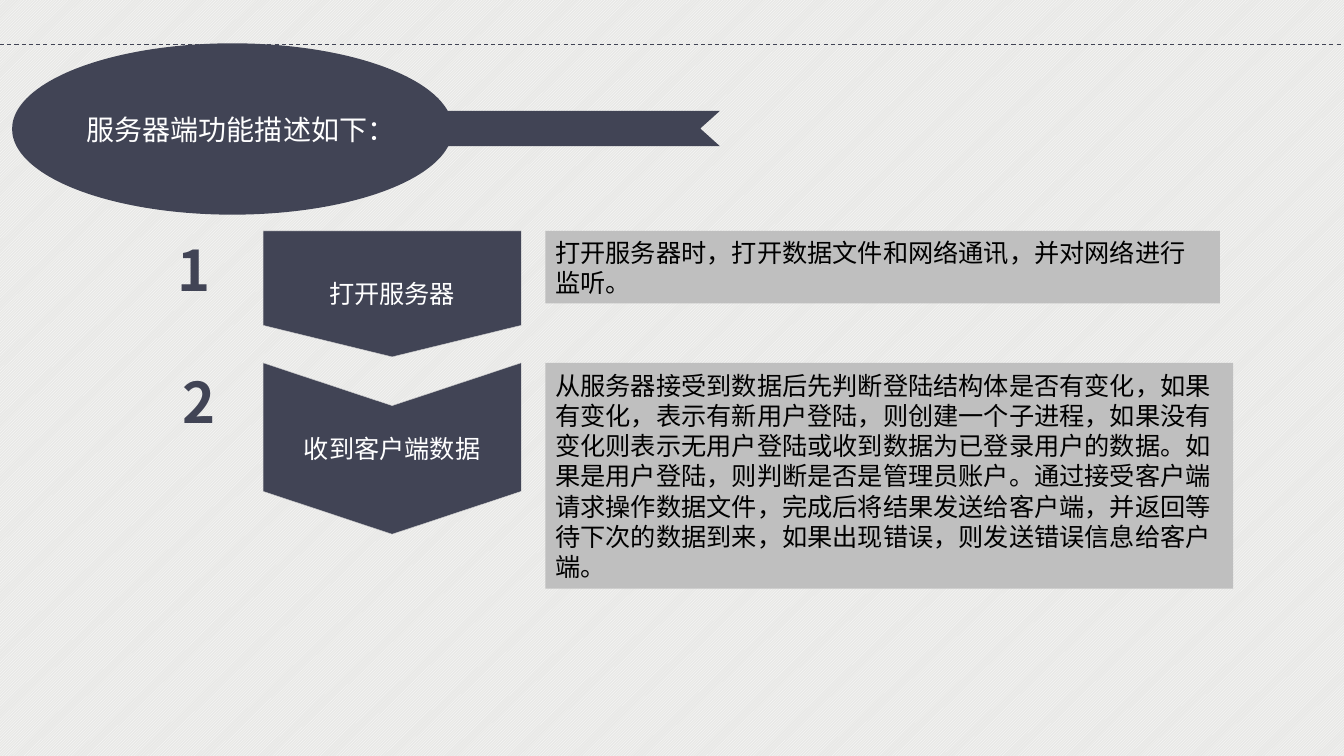
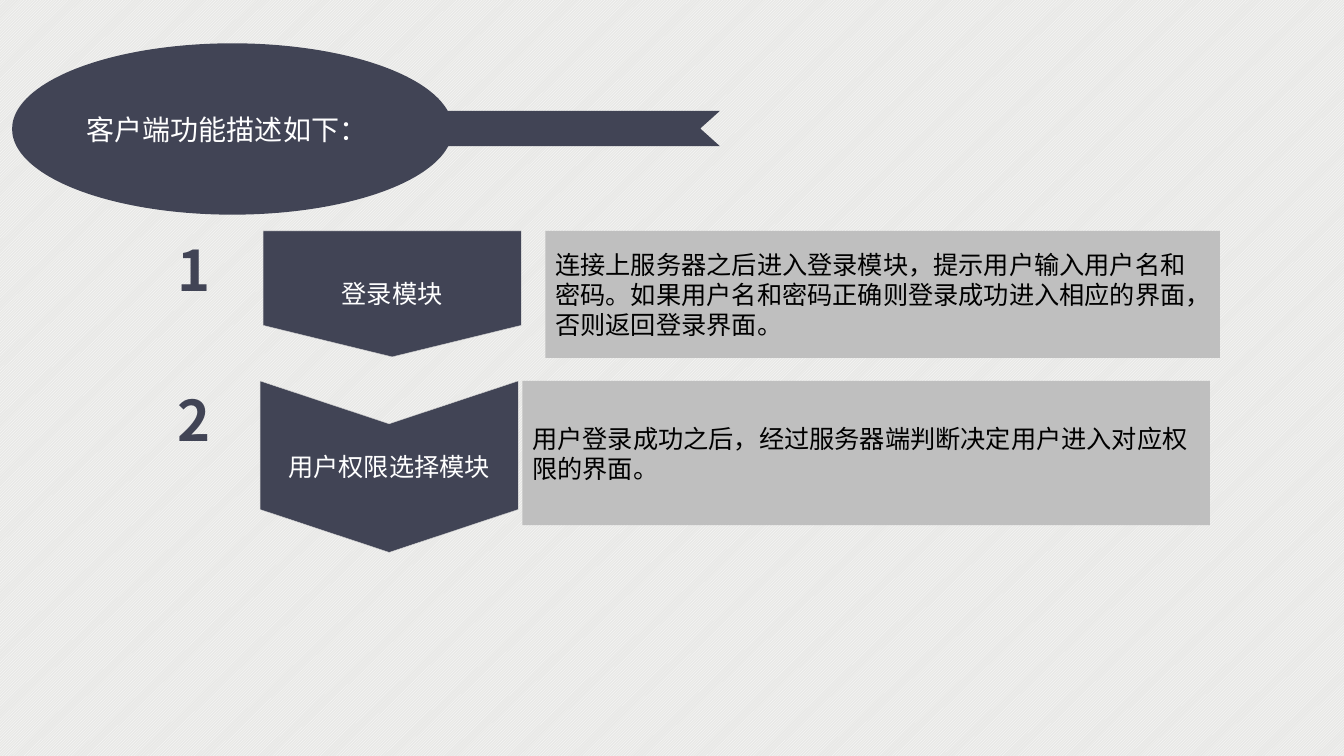
from dataclasses import dataclass

from lxml.etree import SubElement
from pptx import Presentation
from pptx.dml.color import RGBColor
from pptx.enum.dml import MSO_LINE, MSO_PATTERN
from pptx.enum.lang import MSO_LANGUAGE_ID
from pptx.enum.shapes import MSO_CONNECTOR, MSO_SHAPE
from pptx.enum.text import MSO_ANCHOR, MSO_AUTO_SIZE, PP_ALIGN
from pptx.oxml.ns import qn
from pptx.util import Inches, Pt

# Shared look
WIDTH, HEIGHT = 13.33, 7.5
NAVY, GREY, EDGE = "414455", "BFBFBF", "D7D7D7"
WHITE, BLACK, PAPER = "FFFFFF", "000000", "E8E8E6"
BODY_FONT, NUMBER_FONT = "Calibri", "Noto Sans CJK SC"

# Columns of the step grid
NUMBER_LEFT, NUMBER_WIDTH, NUMBER_HEIGHT = 1.39, 1.07, 0.77
ARROW_LEFT, ARROW_WIDTH = 2.61, 2.56
NOTE_LEFT = 5.41

# Header
OVAL = (0.12, 0.43, 4.37, 1.7)
RIBBON = (0.66, 1.1, 6.48, 0.35)
RULE_TOP = 0.44

# Outlines as shares of width and height
PENTAGON = [(0, 0), (1, 0), (1, 0.75), (0.5, 1), (0, 0.75)]
CHEVRON = [(0, 0), (0.5, 0.25), (1, 0), (1, 0.75), (0.5, 1), (0, 0.75)]
RIBBON_OUTLINE = [(0, 0.5), (0.03, 0), (1, 0), (0.97, 0.5), (1, 1), (0.03, 1)]


@dataclass
class Step:
    label: str
    note: str
    top: float
    note_height: float
    note_width: float
    outline: list
    arrow_height: float
    number_shift: float = 0
    arrow_shift: float = 0
    note_shift: float = 0


SERVER_STEPS = [
    Step("打开服务器",
         "打开服务器时，打开数据文件和网络通讯，并对网络进行监听。",
         2.29, 0.72, 6.69, PENTAGON, 1.25),
    Step("收到客户端数据",
         "从服务器接受到数据后先判断登陆结构体是否有变化，如果有变化，"
         "表示有新用户登陆，则创建一个子进程，如果没有变化则表示无用户登陆"
         "或收到数据为已登录用户的数据。如果是用户登陆，则判断是否是管理员账户。"
         "通过接受客户端请求操作数据文件，完成后将结果发送给客户端，"
         "并返回等待下次的数据到来，如果出现错误，则发送错误信息给客户端。",
         3.6, 2.24, 6.82, CHEVRON, 1.7, number_shift=0.05),
]
CLIENT_STEPS = [
    Step("登录模块",
         "连接上服务器之后进入登录模块，提示用户输入用户名和密码。"
         "如果用户名和密码正确则登录成功进入相应的界面，否则返回登录界面。",
         2.29, 1.26, 6.69, PENTAGON, 1.25),
    Step("用户权限选择模块",
         "用户登录成功之后，经过服务器端判断决定用户进入对应权限的界面。",
         3.78, 1.43, 6.82, CHEVRON, 1.7, arrow_shift=-0.03, note_shift=-0.23),
]


def color(value):
    return RGBColor.from_string(value)


def box(left, top, width, height):
    return [Inches(length) for length in (left, top, width, height)]


def write(shape, text, size=18, font=BODY_FONT, fill=BLACK, bold=False,
          align=PP_ALIGN.LEFT, anchor=MSO_ANCHOR.MIDDLE, side_inset=0.1):
    """Set the text of a shape and its format."""
    frame = shape.text_frame
    frame.word_wrap = True
    frame.vertical_anchor = anchor
    frame.margin_left = frame.margin_right = Inches(side_inset)
    frame.margin_top = frame.margin_bottom = Inches(0.05)
    paragraph = frame.paragraphs[0]
    paragraph.alignment = align
    run = paragraph.add_run()
    run.text = text
    run.font.name, run.font.size, run.font.bold = font, Pt(size), bold
    run.font.color.rgb = color(fill)
    run.font.language_id = MSO_LANGUAGE_ID.SIMPLIFIED_CHINESE
    # East Asian characters take the same typeface
    SubElement(run.font._element, qn("a:ea"), typeface=font)


def paint(shape, fill, edge=None):
    shape.shadow.inherit = False
    shape.fill.solid()
    shape.fill.fore_color.rgb = color(fill)
    if edge:
        shape.line.color.rgb = color(edge)
        shape.line.width = Pt(0.25)
    else:
        shape.line.fill.background()


def add_preset(slide, kind, area, fill):
    shape = slide.shapes.add_shape(kind, *box(*area))
    paint(shape, fill)
    return shape


def add_outline(slide, outline, area, fill, edge=None):
    left, top, width, height = area
    points = [(Inches(left + x * width), Inches(top + y * height))
              for x, y in outline]
    builder = slide.shapes.build_freeform(*points[0])
    builder.add_line_segments(points[1:], close=True)
    shape = builder.convert_to_shape()
    paint(shape, fill, edge)
    return shape


def add_rule(slide, top):
    """Dashed line across the whole slide."""
    rule = slide.shapes.add_connector(
        MSO_CONNECTOR.STRAIGHT, 0, Inches(top), Inches(WIDTH), Inches(top))
    rule.line.color.rgb = color(NAVY)
    rule.line.width = Pt(0.75)
    rule.line.dash_style = MSO_LINE.DASH
    SubElement(rule._element.spPr, qn("a:effectLst"))


def add_header(slide, text):
    add_outline(slide, RIBBON_OUTLINE, RIBBON, NAVY)
    add_preset(slide, MSO_SHAPE.OVAL, OVAL, NAVY)
    # The title fills the rectangle inscribed in the oval, in front of it
    left, top, width, height = OVAL
    inset = (1 - 0.5 ** 0.5) / 2
    title = slide.shapes.title
    title.left, title.top, title.width, title.height = box(
        left + inset * width, top + inset * height,
        width * (1 - 2 * inset), height * (1 - 2 * inset))
    slide.shapes.element.append(title.element)
    write(title, text, size=20, fill=WHITE)
    title.text_frame.auto_size = MSO_AUTO_SIZE.NONE


def add_step(slide, number, step):
    note = add_preset(
        slide, MSO_SHAPE.RECTANGLE,
        (NOTE_LEFT + step.note_shift, step.top, step.note_width, step.note_height),
        GREY)
    write(note, step.note)

    label = slide.shapes.add_textbox(*box(
        NUMBER_LEFT + step.number_shift, step.top, NUMBER_WIDTH, NUMBER_HEIGHT))
    write(label, str(number), size=40, font=NUMBER_FONT, fill=NAVY, bold=True,
          align=PP_ALIGN.CENTER, anchor=MSO_ANCHOR.TOP)
    label.text_frame.auto_size = MSO_AUTO_SIZE.SHAPE_TO_FIT_TEXT

    arrow = add_outline(
        slide, step.outline,
        (ARROW_LEFT + step.arrow_shift, step.top, ARROW_WIDTH, step.arrow_height),
        NAVY, EDGE)
    write(arrow, step.label, fill=WHITE, align=PP_ALIGN.CENTER, side_inset=0)


def add_steps_slide(presentation, title, steps):
    slide = presentation.slides.add_slide(presentation.slide_layouts[5])
    add_header(slide, title)
    for number, step in enumerate(steps, start=1):
        add_step(slide, number, step)
    return slide


def main():
    presentation = Presentation()
    presentation.slide_width = Inches(WIDTH)
    presentation.slide_height = Inches(HEIGHT)

    # Striped background for every slide
    background = presentation.slide_master.background.fill
    background.patterned()
    background.pattern = MSO_PATTERN.LIGHT_UPWARD_DIAGONAL
    background.fore_color.rgb = color(WHITE)
    background.back_color.rgb = color(PAPER)

    server = add_steps_slide(presentation, "服务器端功能描述如下：", SERVER_STEPS)
    add_rule(server, RULE_TOP)
    add_steps_slide(presentation, "客户端功能描述如下：", CLIENT_STEPS)
    presentation.save("out.pptx")


if __name__ == "__main__":
    main()
